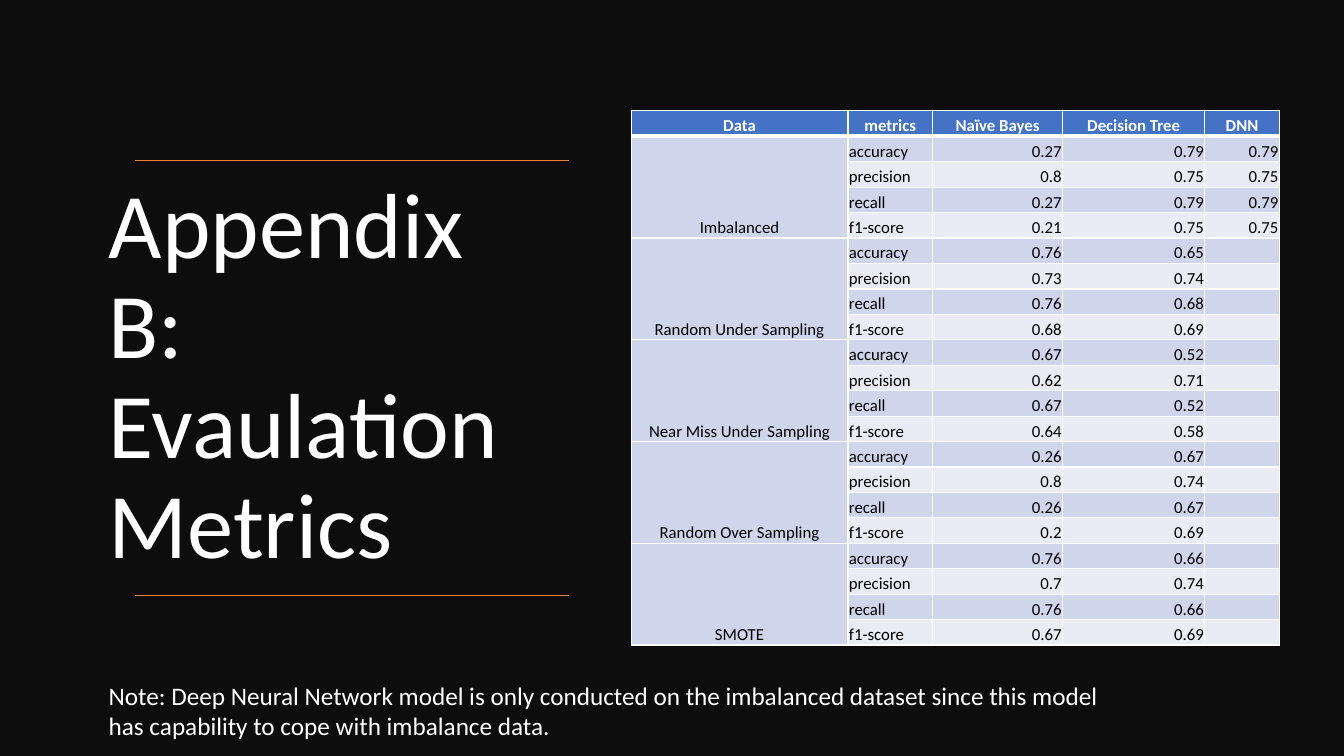
from dataclasses import dataclass

from lxml import etree
from pptx import Presentation
from pptx.dml.color import RGBColor
from pptx.enum.shapes import MSO_CONNECTOR, MSO_SHAPE
from pptx.enum.text import MSO_ANCHOR, MSO_AUTO_SIZE, PP_ALIGN
from pptx.oxml.ns import qn
from pptx.util import Inches, Pt

LEFT, CENTER, RIGHT = PP_ALIGN.LEFT, PP_ALIGN.CENTER, PP_ALIGN.RIGHT
TOP, MIDDLE, BOTTOM = MSO_ANCHOR.TOP, MSO_ANCHOR.MIDDLE, MSO_ANCHOR.BOTTOM
STRAIGHT = MSO_CONNECTOR.STRAIGHT
RECTANGLE = MSO_SHAPE.RECTANGLE
GROW = MSO_AUTO_SIZE.SHAPE_TO_FIT_TEXT

FONT = "Calibri"
COLORS = {
    "backdrop": "0D0D0D",
    "white": "FFFFFF",
    "black": "000000",
    "rule": "ED7D31",
    "header": "4472C4",
    "dark_band": "CFD5EA",
    "light_band": "E9EBF5",
}


@dataclass
class Sampling:
    name: str
    naive_bayes: tuple[str, ...]
    decision_tree: tuple[str, ...]
    dnn: tuple[str, ...] = ("", "", "", "")


HEADINGS = ("Data", "metrics", "Naïve Bayes", "Decision Tree", "DNN")
METRICS = ("accuracy", "precision", "recall", "f1-score")
COLUMN_WIDTHS = (2.15, 0.84, 1.29, 1.41, 0.74)
TABLE_HEIGHT = 5.3
SAMPLINGS = (
    Sampling("Imbalanced", ("0.27", "0.8", "0.27", "0.21"),
             ("0.79", "0.75", "0.79", "0.75"), ("0.79", "0.75", "0.79", "0.75")),
    Sampling("Random Under Sampling", ("0.76", "0.73", "0.76", "0.68"),
             ("0.65", "0.74", "0.68", "0.69")),
    Sampling("Near Miss Under Sampling", ("0.67", "0.62", "0.67", "0.64"),
             ("0.52", "0.71", "0.52", "0.58")),
    Sampling("Random Over Sampling", ("0.26", "0.8", "0.26", "0.2"),
             ("0.67", "0.74", "0.67", "0.69")),
    Sampling("SMOTE", ("0.76", "0.7", "0.76", "0.67"),
             ("0.66", "0.74", "0.66", "0.69")),
)


def rgb(color: str) -> RGBColor:
    return RGBColor.from_string(COLORS[color])


def write(frame, text: str, *, size: float, color: str = "white", bold: bool = False,
          align=LEFT, spacing: float | None = None) -> None:
    for index, line in enumerate(text.split("\n")):
        paragraph = frame.add_paragraph() if index else frame.paragraphs[0]
        paragraph.alignment = align
        if spacing:
            paragraph.line_spacing = spacing
        if not line:
            etree.SubElement(paragraph._p, qn("a:endParaRPr"), sz=str(int(size * 100)))
            continue
        run = paragraph.add_run()
        run.text = line
        run.font.name = FONT
        run.font.size = Pt(size)
        run.font.bold = bold
        run.font.color.rgb = rgb(color)


def add_backdrop(slide, width: int, height: int) -> None:
    backdrop = slide.shapes.add_shape(RECTANGLE, 0, 0, width, height)
    backdrop.shadow.inherit = False
    backdrop.fill.solid()
    backdrop.fill.fore_color.rgb = rgb("backdrop")
    backdrop.line.fill.background()


def add_rule(slide, y: float) -> None:
    rule = slide.shapes.add_connector(
        STRAIGHT, Inches(5.64), Inches(y), Inches(1.34), Inches(y))
    rule.line.color.rgb = rgb("rule")
    rule.line.width = Pt(1)
    etree.SubElement(rule._element.spPr, qn("a:effectLst"))


def add_borders(cell, bottom_width: float) -> None:
    properties = cell._tc.get_or_add_tcPr()
    for side, width in (("L", 1), ("R", 1), ("T", 1), ("B", bottom_width)):
        border = etree.SubElement(properties, qn(f"a:ln{side}"), w=str(Pt(width)))
        fill = etree.SubElement(border, qn("a:solidFill"))
        etree.SubElement(fill, qn("a:srgbClr"), val=COLORS["white"])


def fill_cell(cell, text: str, fill: str, *, align, color: str = "black",
              bold: bool = False, bottom_width: float = 1) -> None:
    add_borders(cell, bottom_width)
    cell.fill.solid()
    cell.fill.fore_color.rgb = rgb(fill)
    cell.margin_left = cell.margin_right = cell.margin_top = Inches(0.01)
    cell.margin_bottom = 0
    cell.vertical_anchor = BOTTOM
    write(cell.text_frame, text, size=12, color=color, bold=bold, align=align)


def add_metrics_table(slide) -> None:
    row_count = 1 + len(SAMPLINGS) * len(METRICS)
    table = slide.shapes.add_table(
        row_count, len(HEADINGS), Inches(6.26), Inches(1.1),
        Inches(sum(COLUMN_WIDTHS)), Inches(TABLE_HEIGHT)).table
    for column, width in zip(table.columns, COLUMN_WIDTHS):
        column.width = Inches(width)
    for row in table.rows:
        row.height = Inches(TABLE_HEIGHT / row_count)

    for column, heading in enumerate(HEADINGS):
        fill_cell(table.cell(0, column), heading, "header", align=CENTER,
                  color="white", bold=True, bottom_width=3)

    for group, sampling in enumerate(SAMPLINGS):
        first = 1 + group * len(METRICS)
        scores = zip(METRICS, sampling.naive_bayes, sampling.decision_tree, sampling.dnn)
        for offset, (metric, *values) in enumerate(scores):
            row = first + offset
            band = "light_band" if offset % 2 else "dark_band"
            fill_cell(table.cell(row, 0), "" if offset else sampling.name,
                      "dark_band", align=CENTER)
            fill_cell(table.cell(row, 1), metric, band, align=LEFT)
            for column, value in enumerate(values, start=2):
                fill_cell(table.cell(row, column), value, band, align=RIGHT)
        table.cell(first, 0).merge(table.cell(first + len(METRICS) - 1, 0))


def add_text_frame(slide, left: float, top: float, width: float, height: float,
                   *, anchor=TOP, wrap: bool = True):
    frame = slide.shapes.add_textbox(
        Inches(left), Inches(top), Inches(width), Inches(height)).text_frame
    frame.word_wrap = wrap
    frame.vertical_anchor = anchor
    return frame


def main() -> None:
    presentation = Presentation()
    presentation.slide_width = Inches(13.33)
    presentation.slide_height = Inches(7.5)
    slide = presentation.slides.add_slide(presentation.slide_layouts[6])

    add_backdrop(slide, presentation.slide_width, presentation.slide_height)
    title = add_text_frame(slide, 0.98, 1.59, 4.66, 4.33, anchor=MIDDLE)
    title.margin_right = Inches(0.2)
    write(title, "Appendix B: Evaulation Metrics", size=66, spacing=0.9)
    for y in (1.59, 5.91):
        add_rule(slide, y)
    add_metrics_table(slide)
    note = add_text_frame(slide, 0.98, 6.7, 10.2, 0.71, wrap=False)
    note.auto_size = GROW
    write(note, "Note: Deep Neural Network model is only conducted on the imbalanced "
                "dataset since this model\nhas capability to cope with imbalance data.",
          size=18)

    presentation.save("out.pptx")


if __name__ == "__main__":
    main()
